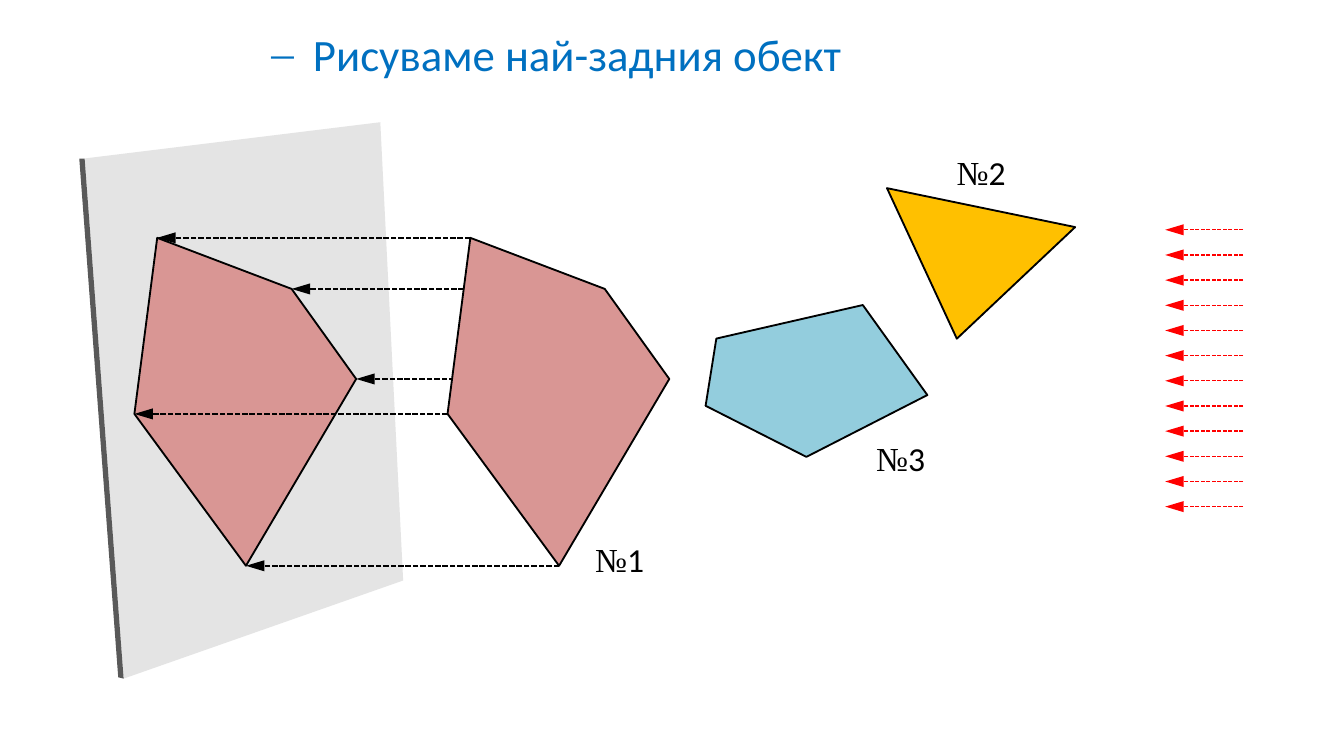
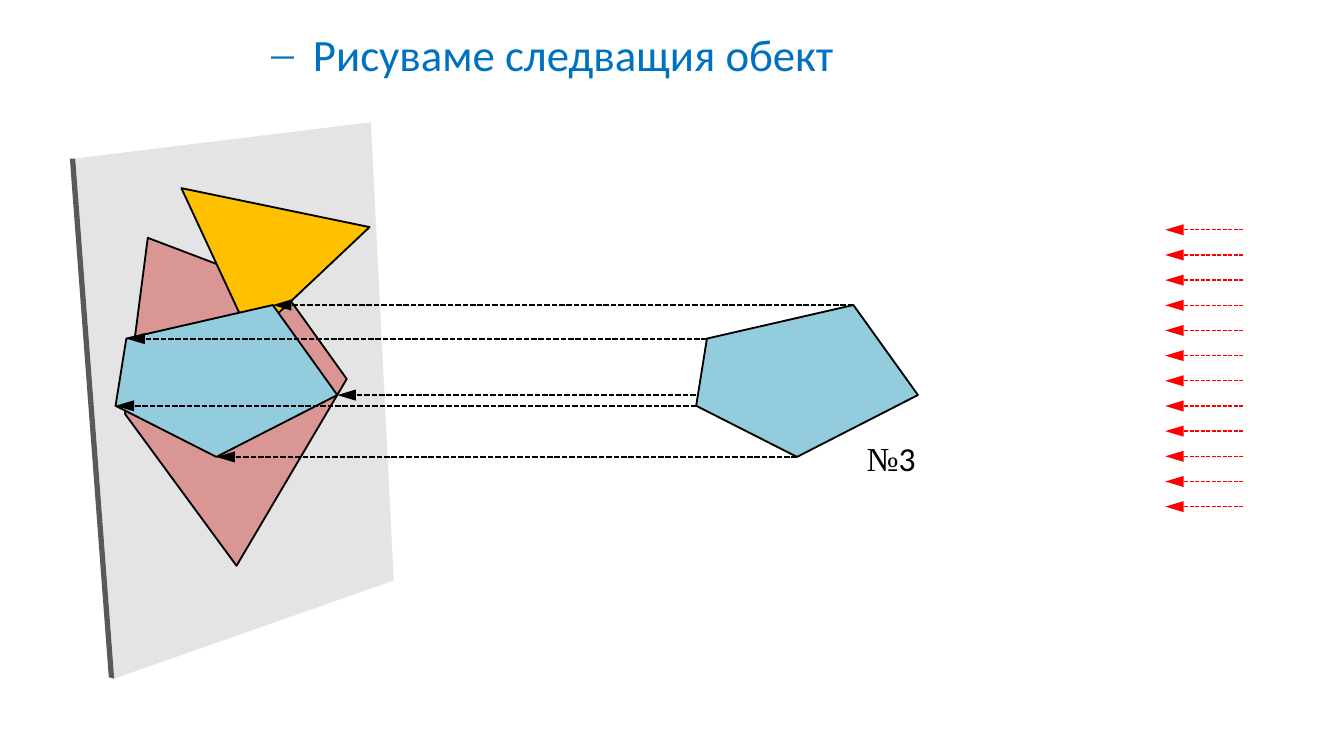
from lxml import etree
from pptx import Presentation
from pptx.dml.color import RGBColor
from pptx.enum.dml import MSO_LINE
from pptx.enum.shapes import MSO_CONNECTOR
from pptx.enum.text import MSO_ANCHOR, MSO_AUTO_SIZE
from pptx.oxml.ns import qn
from pptx.util import Inches, Pt

STRAIGHT = MSO_CONNECTOR.STRAIGHT
DASH = MSO_LINE.SQUARE_DOT
TOP = MSO_ANCHOR.TOP
FIT_SHAPE = MSO_AUTO_SIZE.SHAPE_TO_FIT_TEXT
NO_FIT = MSO_AUTO_SIZE.NONE

BLACK, RED, BLUE = "000000", "FF0000", "0070C0"
SCREEN_FACE, SCREEN_EDGE = "E4E4E4", "595959"
BODY_FONT, SIGN_FONT = "Calibri", "Times New Roman"

# Each outline is relative to the left and top of its object.
FACE = [(0.04, 0.27), (2.24, 0), (2.41, 3.41), (0.33, 4.14)]
EDGE = [(0, 0.27), (0.04, 0.27), (0.33, 4.14), (0.29, 4.13)]

# Number: (fill, top, outline)
OBJECTS = {
    1: ("D99694", 1.77, [(0.17, 0), (1.17, 0.38), (1.65, 1.05), (0.83, 2.44), (0, 1.31)]),
    2: ("FFC000", 1.4, [(0, 0), (1.4, 0.29), (0.52, 1.12)]),
    3: ("93CDDD", 2.27, [(0.08, 0.25), (1.17, 0), (1.65, 0.67), (0.75, 1.13), (0, 0.75)]),
}

RAY_COUNT, RAY_TOP, RAY_BOTTOM = 12, 1.71, 3.77
RAY_START, RAY_TIP = 9.25, 8.67


def rgb(value):
    return RGBColor.from_string(value)


def format_run(run, size, font, color):
    run.font.size = Pt(size)
    run.font.name = font
    run.font.color.rgb = rgb(color)


def add_title(page, text):
    """Add the heading as a second-level item with a dash bullet."""
    box = page.shapes.add_textbox(Inches(1.42), Inches(0.15), Inches(8.58), Inches(5.17))
    frame = box.text_frame
    frame.word_wrap = True
    frame.auto_size = NO_FIT
    frame.vertical_anchor = TOP
    frame.text = text
    para = frame.paragraphs[0]
    para.level = 1
    format_run(para.runs[0], 24, BODY_FONT, BLUE)
    properties = para._p.get_or_add_pPr()
    properties.set("marL", str(Inches(0.81)))
    properties.set("indent", str(Inches(-0.31)))
    etree.SubElement(properties, qn("a:buFont")).set("typeface", SIGN_FONT)
    etree.SubElement(properties, qn("a:buChar")).set("char", "–")


def add_polygon(page, outline, left, top, fill, outlined=True):
    points = [(Inches(left + x), Inches(top + y)) for x, y in outline]
    builder = page.shapes.build_freeform(*points[0])
    builder.add_line_segments(points[1:], close=True)
    shape = builder.convert_to_shape()
    shape.shadow.inherit = False
    shape.fill.solid()
    shape.fill.fore_color.rgb = rgb(fill)
    if outlined:
        shape.line.color.rgb = rgb(BLACK)
        shape.line.width = Pt(1)
    else:
        shape.line.fill.background()


def add_screen(page, left):
    add_polygon(page, FACE, left, 0.91, SCREEN_FACE, outlined=False)
    add_polygon(page, EDGE, left, 0.91, SCREEN_EDGE, outlined=False)


def add_object(page, number, left):
    fill, top, outline = OBJECTS[number]
    add_polygon(page, outline, left, top, fill)


def add_arrow(shapes, start, tip, y, color, width):
    """Add a dashed horizontal arrow that points at tip."""
    arrow = shapes.add_connector(STRAIGHT, Inches(start), Inches(y), Inches(tip), Inches(y))
    arrow.line.color.rgb = rgb(color)
    arrow.line.width = Pt(width)
    arrow.line.dash_style = DASH
    head = etree.SubElement(arrow.line._get_or_add_ln(), qn("a:tailEnd"))
    head.set("type", "triangle")
    head.set("len", "lg")
    etree.SubElement(arrow._element.spPr, qn("a:effectLst"))


def add_rays(page):
    group = page.shapes.add_group_shape()
    step = (RAY_BOTTOM - RAY_TOP) / (RAY_COUNT - 1)
    for index in range(RAY_COUNT):
        add_arrow(group.shapes, RAY_START, RAY_TIP, RAY_TOP + index * step, RED, 0.75)


def add_projection(page, number, left, image_left):
    """Draw an object, its image on the screen and an arrow for each corner."""
    add_object(page, number, image_left)
    _, top, outline = OBJECTS[number]
    for x, y in outline:
        add_arrow(page.shapes, left + x, image_left + x, top + y, BLACK, 1)
    add_object(page, number, left)


def add_label(page, number, left, top):
    box = page.shapes.add_textbox(Inches(left), Inches(top), Inches(0.57), Inches(0.4))
    frame = box.text_frame
    frame.word_wrap = False
    frame.auto_size = FIT_SHAPE
    para = frame.paragraphs[0]
    for text, font in (("№", SIGN_FONT), (str(number), BODY_FONT)):
        run = para.add_run()
        run.text = text
        format_run(run, 18, font, BLACK)


def add_page(deck, title, screen_left):
    page = deck.slides.add_slide(deck.slide_layouts[6])
    add_screen(page, screen_left)
    add_title(page, title)
    add_rays(page)
    return page


def main():
    deck = Presentation()
    deck.slide_width = Inches(10)
    deck.slide_height = deck.slide_width * 9 // 16

    page = add_page(deck, "Рисуваме най-задния обект", 0.59)
    add_object(page, 2, 6.6)
    add_object(page, 3, 5.25)
    add_projection(page, 1, left=3.33, image_left=1)
    add_label(page, 1, 4.33, 3.96)
    add_label(page, 2, 7.02, 1.08)
    add_label(page, 3, 6.42, 3.21)

    page = add_page(deck, "Рисуваме следващия обект", 0.52)
    add_object(page, 1, 0.93)
    add_object(page, 2, 1.35)
    add_projection(page, 3, left=5.18, image_left=0.86)
    add_label(page, 3, 6.35, 3.21)

    deck.save("out.pptx")


if __name__ == "__main__":
    main()
